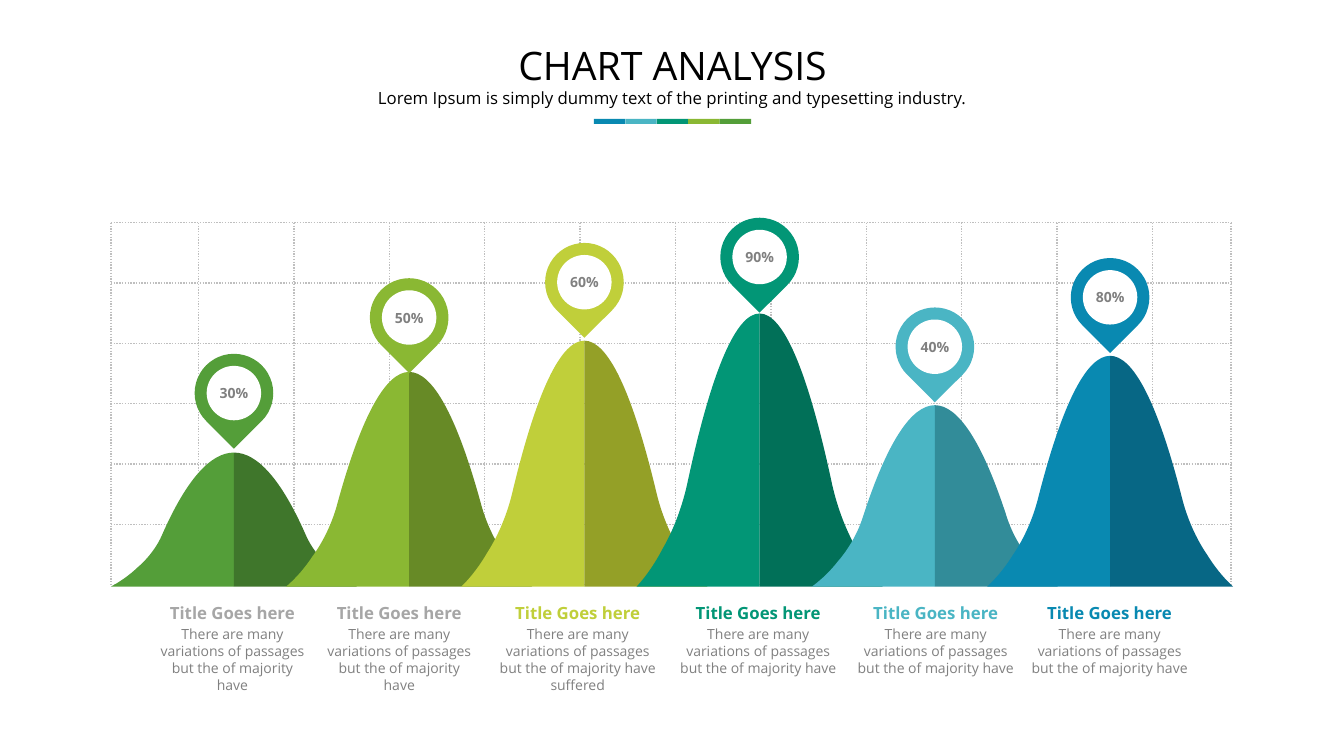
from dataclasses import dataclass

from lxml.etree import SubElement
from pptx import Presentation
from pptx.dml.color import RGBColor
from pptx.enum.dml import MSO_LINE_DASH_STYLE as Dash
from pptx.enum.shapes import MSO_CONNECTOR as Connector, MSO_SHAPE as Preset
from pptx.enum.text import MSO_ANCHOR as Anchor, MSO_AUTO_SIZE as AutoSize, PP_ALIGN as Align
from pptx.oxml.ns import qn
from pptx.util import Inches, Pt


@dataclass(frozen=True)
class Theme:
    font: str = "Open Sans"
    black: str = "000000"
    white: str = "FFFFFF"
    text: str = "808080"
    muted: str = "A6A6A6"
    grid: str = "BFBFBF"
    green: str = "549E39"
    lime: str = "8AB833"
    yellow: str = "C0CF3A"
    teal: str = "029676"
    aqua: str = "4AB5C4"
    blue: str = "0989B1"
    title_size: int = 28
    heading_size: int = 12
    body_size: int = 10


@dataclass(frozen=True)
class Peak:
    percent: str
    color: str
    shade: str
    top: float
    pin_top: float
    heading_color: str
    text_left: float
    text_width: float
    text_height: float
    description: str


THEME = Theme()
DESCRIPTION = "There are many variations of passages but the of majority have"
PEAKS = [
    Peak("30%", THEME.green, "3F762B", 4.49, 3.51, THEME.muted, 1.49, 1.63, 1.01, DESCRIPTION),
    Peak("50%", THEME.lime, "678A26", 3.69, 2.76, THEME.muted, 3.09, 1.74, 1.01, DESCRIPTION),
    Peak("60%", THEME.yellow, "94A027", 3.38, 2.41, THEME.yellow, 4.8, 1.86, 1.01,
         DESCRIPTION + " suffered"),
    Peak("90%", THEME.teal, "017058", 3.11, 2.16, THEME.teal, 6.62, 1.8, 0.84, DESCRIPTION),
    Peak("40%", THEME.aqua, "328C99", 4.02, 3.05, THEME.aqua, 8.39, 1.78, 0.84, DESCRIPTION),
    Peak("80%", THEME.blue, "076785", 3.53, 2.56, THEME.blue, 10.13, 1.75, 0.84, DESCRIPTION),
]
FIRST_CENTER, LAST_CENTER = 2.32, 11.01
BASELINE, HALF_WIDTH = 5.82, 1.22
PIN_SIZE, HOLE_SIZE = 0.78, 0.54
GRID_LEFT, GRID_TOP, GRID_RIGHT, GRID_BOTTOM = 1.1, 2.21, 12.21, 5.8

# Three Bezier curves from foot to summit: inches in from the foot, share of the height
SLOPE = [
    (0, 0),
    (0.1, 0.04), (0.19, 0.09), (0.26, 0.14),
    (0.37, 0.21), (0.46, 0.3), (0.51, 0.39),
    (0.75, 0.8), (0.99, 1), (HALF_WIDTH, 1),
]


def paint(shape, color: str) -> None:
    shape.shadow.inherit = False
    shape.fill.solid()
    shape.fill.fore_color.rgb = RGBColor.from_string(color)
    shape.line.fill.background()


def add_preset(page, preset, left: float, top: float, width: float, height: float, color: str):
    shape = page.shapes.add_shape(preset, Inches(left), Inches(top), Inches(width), Inches(height))
    paint(shape, color)
    return shape


def format_para(para, size: int, color: str, bold: bool = False) -> None:
    para.alignment = Align.CENTER
    for span in para.runs:
        span.font.name = THEME.font
        span.font.size = Pt(size)
        span.font.bold = bold
        span.font.color.rgb = RGBColor.from_string(color)


def fill_placeholder(box, text: str, size: int, left: float, top: float,
                     width: float, height: float) -> None:
    box.left, box.top = Inches(left), Inches(top)
    box.width, box.height = Inches(width), Inches(height)
    frame = box.text_frame
    frame.text = text
    frame.word_wrap = True
    frame.auto_size = AutoSize.NONE
    para = frame.paragraphs[0]
    para.space_before = Pt(0)
    format_para(para, size, THEME.black)


def add_grid_line(page, x1: float, y1: float, x2: float, y2: float) -> None:
    rule = page.shapes.add_connector(Connector.STRAIGHT, Inches(x1), Inches(y1),
                                     Inches(x2), Inches(y2))
    rule.line.color.rgb = RGBColor.from_string(THEME.grid)
    rule.line.width = Pt(1)
    rule.line.dash_style = Dash.ROUND_DOT
    SubElement(rule._element.spPr, qn("a:effectLst"))


def add_half(page, center: float, side: int, top: float, color: str) -> None:
    """Draw one half of a peak; side is -1 for left and 1 for right."""
    outline = [(Inches(center + side * (HALF_WIDTH - x)),
                Inches(BASELINE - share * (BASELINE - top))) for x, share in SLOPE]
    outline.append((Inches(center), Inches(BASELINE)))
    builder = page.shapes.build_freeform(*outline[0])
    builder.add_line_segments(outline[1:], close=True)
    half = builder.convert_to_shape()
    # Turn each three line points of the slope into one Bezier curve
    segments = list(half._element.iter(qn("a:lnTo")))[:len(SLOPE) - 1]
    for start in range(0, len(segments), 3):
        curve, *others = segments[start:start + 3]
        curve.tag = qn("a:cubicBezTo")
        for other in others:
            curve.append(other[0])
            other.getparent().remove(other)
    paint(half, color)


def add_pin(page, center: float, peak: Peak) -> None:
    left = center - PIN_SIZE / 2
    drop = add_preset(page, Preset.TEAR, left, peak.pin_top, PIN_SIZE, PIN_SIZE, peak.color)
    drop.rotation = 135
    inset = (PIN_SIZE - HOLE_SIZE) / 2
    hole = add_preset(page, Preset.OVAL, left + inset, peak.pin_top + inset,
                      HOLE_SIZE, HOLE_SIZE, THEME.white)
    frame = hole.text_frame
    frame.margin_left = frame.margin_right = frame.margin_top = frame.margin_bottom = 0
    frame.vertical_anchor = Anchor.MIDDLE
    frame.text = peak.percent
    format_para(frame.paragraphs[0], THEME.body_size, THEME.text, bold=True)


def add_caption(page, peak: Peak) -> None:
    box = page.shapes.add_textbox(Inches(peak.text_left), Inches(5.93),
                                  Inches(peak.text_width), Inches(peak.text_height))
    frame = box.text_frame
    frame.word_wrap = True
    frame.auto_size = AutoSize.SHAPE_TO_FIT_TEXT
    frame.text = "Title Goes here"
    heading, body = frame.paragraphs[0], frame.add_paragraph()
    body.text = peak.description
    body.space_before = Pt(2)
    format_para(heading, THEME.heading_size, peak.heading_color, bold=True)
    format_para(body, THEME.body_size, THEME.text)


def main() -> None:
    deck = Presentation()
    deck.slide_width, deck.slide_height = Inches(13.33), Inches(7.5)
    page = deck.slides.add_slide(deck.slide_layouts[0])

    # Dotted grid
    inner = [1.97 + index * (11.43 - 1.97) / 10 for index in range(11)]
    for x in [GRID_LEFT, *inner, GRID_RIGHT]:
        add_grid_line(page, x, GRID_TOP, x, GRID_BOTTOM)
    for index in range(7):
        y = GRID_TOP + index * (GRID_BOTTOM - GRID_TOP) / 6
        add_grid_line(page, GRID_LEFT, y, GRID_RIGHT, y)

    # Peaks with pins and captions
    pitch = (LAST_CENTER - FIRST_CENTER) / (len(PEAKS) - 1)
    for index, peak in enumerate(PEAKS):
        center = FIRST_CENTER + index * pitch
        add_half(page, center, -1, peak.top, peak.color)
        add_half(page, center, 1, peak.top, peak.shade)
        add_pin(page, center, peak)
        add_caption(page, peak)

    # Heading
    fill_placeholder(page.shapes.title, "CHART ANALYSIS", THEME.title_size,
                     2.72, 0.4, 7.9, 0.49)
    fill_placeholder(page.placeholders[1],
                     "Lorem Ipsum is simply dummy text of the printing and typesetting industry.",
                     THEME.heading_size, 3.3, 0.82, 6.74, 0.3)
    stripes = [THEME.blue, THEME.aqua, THEME.teal, THEME.lime, THEME.green]
    stripe_width = 1.56 / len(stripes)
    for index, color in enumerate(stripes):
        add_preset(page, Preset.RECTANGLE, 5.89 + index * stripe_width, 1.18,
                   stripe_width, 0.05, color)

    deck.save("out.pptx")


if __name__ == "__main__":
    main()
